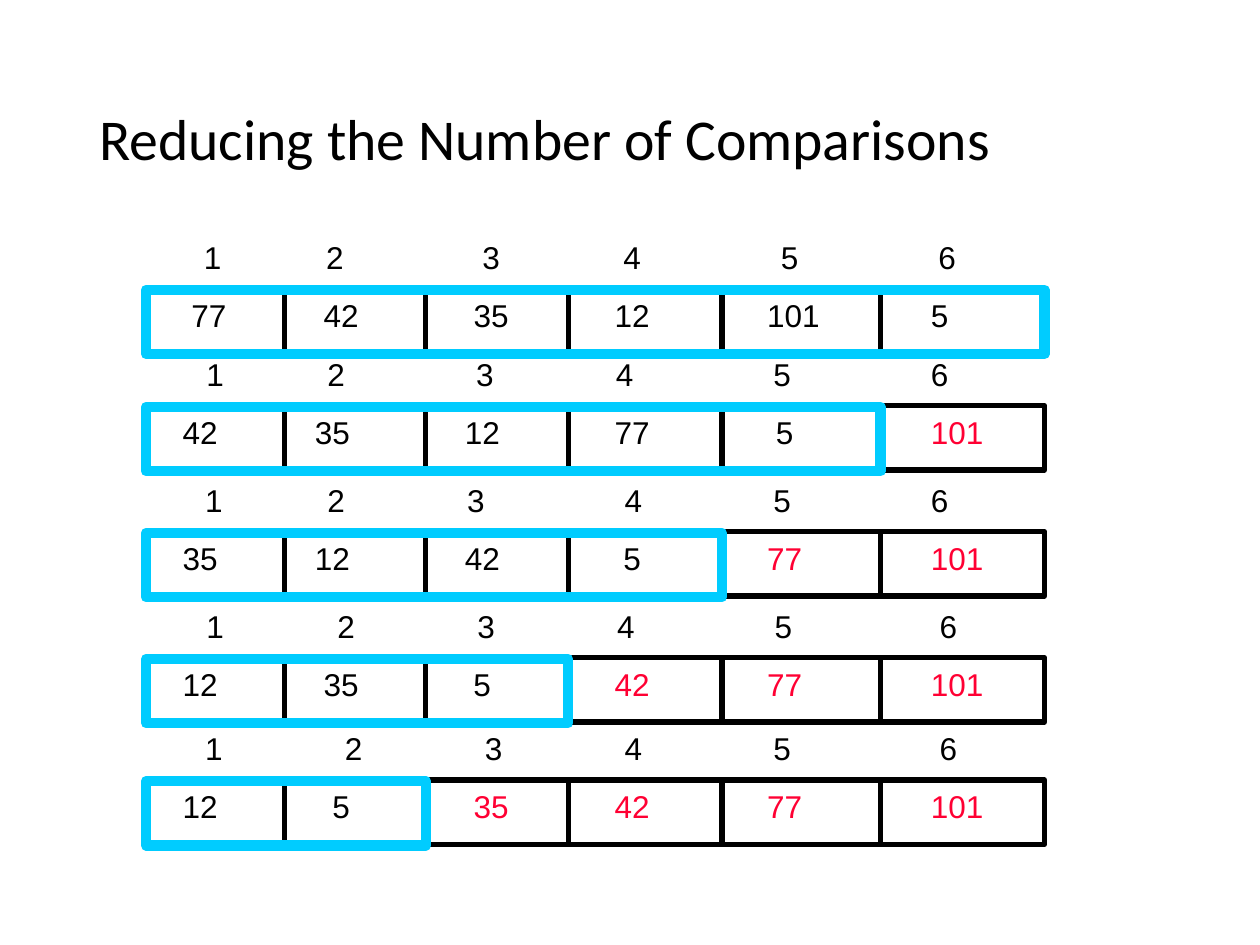
from dataclasses import dataclass

from lxml import etree
from pptx import Presentation
from pptx.dml.color import RGBColor
from pptx.enum import shapes, text
from pptx.oxml import ns
from pptx.util import Inches, Pt


@dataclass(frozen=True)
class Theme:
    ink: RGBColor = RGBColor(0x00, 0x00, 0x00)
    settled: RGBColor = RGBColor(0xFF, 0x00, 0x33)
    active: RGBColor = RGBColor(0x00, 0xCC, 0xFF)
    title_font: str = "Calibri"
    body_font: str = "Arial"
    title_size: int = 33
    body_size: int = 18
    cell_line: int = 3
    active_line: int = 6


@dataclass(frozen=True)
class Pass:
    top: float
    values: tuple
    unsorted: int
    indents: tuple
    index_lefts: tuple


THEME = Theme()
BORDERS = (1.16, 2.26, 3.38, 4.51, 5.73, 6.99, 8.29)
VALUE_LEFTS = (1.35, 2.4, 3.59, 4.78, 5.92, 7.22)
CELL_HEIGHT = 0.51
TEXT_HEIGHT = 0.4
INDEX_RISE = 0.45
INSET = 0.1
DIGIT = 0.14
SPACE = 0.07

PASSES = (
    Pass(2.29, (77, 42, 35, 12, 101, 5), 6, (1, 1, 1, 0, 1, 1),
         (1.62, 2.59, 3.83, 4.95, 6.2, 7.45)),
    Pass(3.22, (42, 35, 12, 77, 5, 101), 5, (0, 0, 0, 0, 2, 1),
         (1.64, 2.6, 3.78, 4.89, 6.14, 7.39)),
    Pass(4.22, (35, 12, 42, 5, 77, 101), 4, (0, 0, 0, 1, 1, 1),
         (1.63, 2.6, 3.71, 4.96, 6.14, 7.39)),
    Pass(5.22, (12, 35, 5, 42, 77, 101), 3, (0, 1, 1, 0, 1, 1),
         (1.64, 2.68, 3.79, 4.9, 6.15, 7.46)),
    Pass(6.19, (12, 5, 35, 42, 77, 101), 2, (0, 2, 1, 0, 1, 1),
         (1.63, 2.74, 3.85, 4.96, 6.14, 7.46)),
)


def add_text(parent, left, top, width, height, wording, font, size, color,
             tabs=(), wrap=False):
    box = parent.add_textbox(*map(Inches, (left, top, width, height)))
    tf = box.text_frame
    tf.word_wrap = wrap
    tf.text = wording
    p = tf.paragraphs[0]
    if tabs:
        tab_list = etree.SubElement(p._p.get_or_add_pPr(), ns.qn("a:tabLst"))
        for tab in tabs:
            etree.SubElement(tab_list, ns.qn("a:tab"),
                             pos=str(Inches(tab)), algn="l")
    for r in p.runs:
        r.font.name = font
        r.font.size = Pt(size)
        r.font.color.rgb = color
    return tf


def add_title(s, wording):
    tf = add_text(s.shapes, 0.69, 0.4, 8.63, 1.45, wording, THEME.title_font,
                  THEME.title_size, THEME.ink, wrap=True)
    tf.vertical_anchor = text.MSO_ANCHOR.MIDDLE
    tf.paragraphs[0].line_spacing = 0.9


def add_frame(parent, top, right, color, weight):
    left = BORDERS[0]
    sp = parent.add_shape(shapes.MSO_SHAPE.RECTANGLE, Inches(left), Inches(top),
                          Inches(right - left), Inches(CELL_HEIGHT))
    sp.shadow.inherit = False
    sp.fill.background()
    sp.line.color.rgb = color
    sp.line.width = Pt(weight)


def add_divider(parent, x, top):
    line = parent.add_connector(shapes.MSO_CONNECTOR.STRAIGHT, Inches(x),
                                Inches(top), Inches(x), Inches(top + CELL_HEIGHT))
    line.line.color.rgb = THEME.ink
    line.line.width = Pt(THEME.cell_line)
    etree.SubElement(line._element.spPr, ns.qn("a:effectLst"))


def add_indices(parent, step):
    start = step.index_lefts[0]
    wording = "\t".join(str(n + 1) for n in range(len(step.values)))
    add_text(parent, start - INSET, step.top - INDEX_RISE, 6.2, TEXT_HEIGHT,
             wording, THEME.body_font, THEME.body_size, THEME.ink,
             tabs=[x - start for x in step.index_lefts[1:]], wrap=True)


def add_value(parent, step, column):
    wording = str(step.values[column])
    color = THEME.ink if column < step.unsorted else THEME.settled
    left = VALUE_LEFTS[column] + SPACE * step.indents[column]
    add_text(parent, left, step.top + 0.01, 2 * INSET + DIGIT * len(wording),
             TEXT_HEIGHT, wording, THEME.body_font, THEME.body_size, color)


def add_pass(s, step):
    group = s.shapes.add_group_shape().shapes
    add_frame(group, step.top, BORDERS[-1], THEME.ink, THEME.cell_line)
    for x in BORDERS[1:-1]:
        add_divider(group, x, step.top)
    add_indices(group, step)
    for column in range(len(step.values)):
        add_value(group, step, column)
    add_frame(group, step.top + 0.01, BORDERS[step.unsorted], THEME.active,
              THEME.active_line)


def main():
    prs = Presentation()
    prs.slide_width, prs.slide_height = Inches(10), Inches(7.5)
    s = prs.slides.add_slide(prs.slide_layouts[6])
    add_title(s, "Reducing the Number of Comparisons")
    for step in PASSES:
        add_pass(s, step)
    prs.save("out.pptx")


if __name__ == "__main__":
    main()
